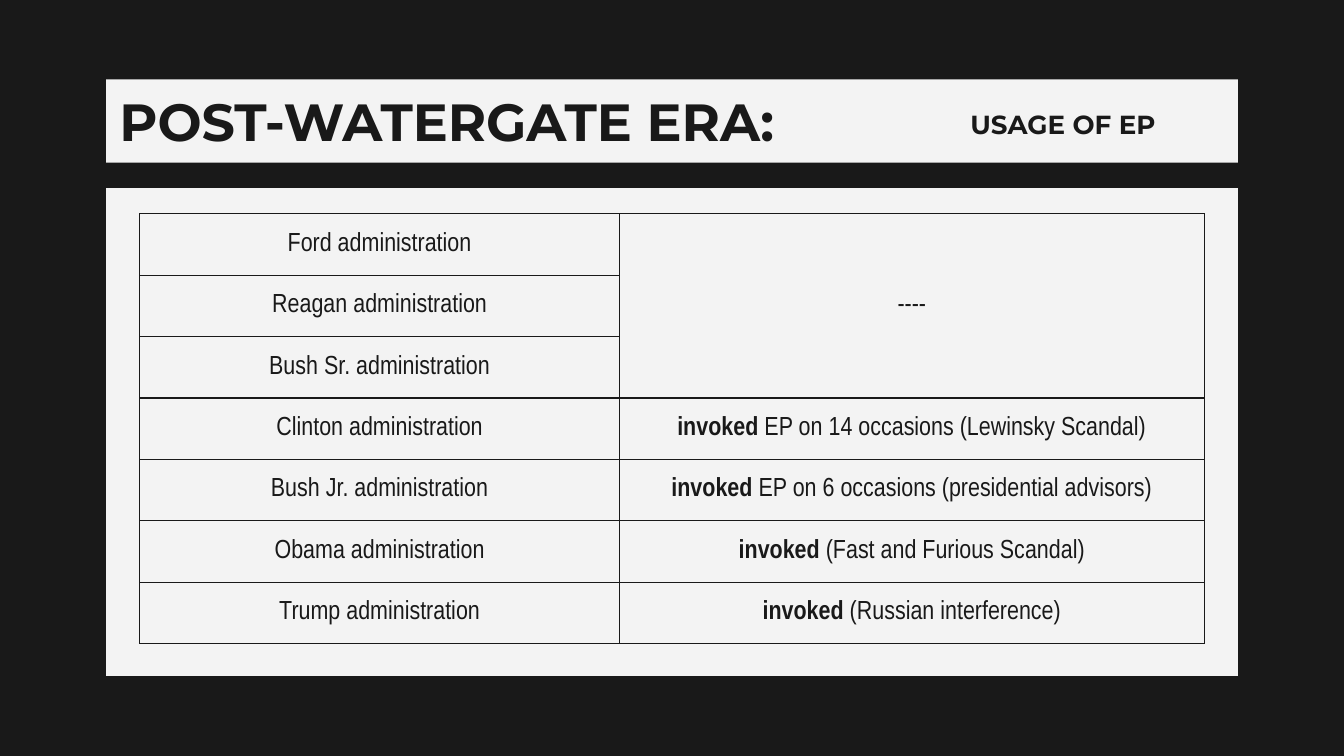
"""Build a slide that tabulates the use of executive privilege after Watergate."""
import lxml.etree
import pptx
import pptx.dml.color
import pptx.enum.shapes
import pptx.enum.text
import pptx.oxml.ns
import pptx.util

TITLE = "POST-WATERGATE ERA:"
SUBTITLE = "USAGE OF EP"
ADMINISTRATIONS = [
    ("Ford", "", "----"),
    ("Reagan", "", ""),
    ("Bush Sr.", "", ""),
    ("Clinton", "invoked", " EP on 14 occasions (Lewinsky Scandal)"),
    ("Bush Jr.", "invoked", " EP on 6 occasions (presidential advisors)"),
    ("Obama", "invoked", " (Fast and Furious Scandal)"),
    ("Trump", "invoked", " (Russian interference)"),
]
UNUSED_ROWS = 3

DARK, LIGHT = "191919", "F3F3F3"
WIDTH = 10
HEIGHT = WIDTH * 9 / 16
MARGIN = 0.79
PANEL_WIDTH = WIDTH - 2 * MARGIN
INSET = 0.1
TABLE_LEFT, TABLE_TOP, TABLE_HEIGHT = 1.04, 1.59, 3.2
COLUMN_WIDTHS = [3.57, 4.35]

inches = pptx.util.Inches
CENTER = pptx.enum.text.PP_ALIGN.CENTER
MIDDLE = pptx.enum.text.MSO_ANCHOR.MIDDLE


def color(value):
    return pptx.dml.color.RGBColor.from_string(value)


def style(paragraph, font_name, size, bold=None, align=CENTER):
    paragraph.alignment = align
    font = paragraph.font
    font.name, font.size, font.bold = font_name, pptx.util.Pt(size), bold
    font.color.rgb = color(DARK)


def add_panel(slide, top, height):
    panel = slide.shapes.add_shape(
        pptx.enum.shapes.MSO_SHAPE.RECTANGLE,
        inches(MARGIN), inches(top), inches(PANEL_WIDTH), inches(height))
    panel.shadow.inherit = False
    panel.fill.solid()
    panel.fill.fore_color.rgb = color(LIGHT)
    panel.line.fill.background()
    return panel


def set_insets(box):
    box.margin_left = box.margin_right = inches(INSET)
    box.margin_top = box.margin_bottom = inches(INSET)
    box.vertical_anchor = MIDDLE


def add_borders(cell):
    properties = cell._tc.get_or_add_tcPr()
    for position, side in enumerate(("lnL", "lnR", "lnT", "lnB")):
        line = lxml.etree.Element(pptx.oxml.ns.qn(f"a:{side}"), w=str(pptx.util.Pt(0.75)))
        fill = lxml.etree.SubElement(line, pptx.oxml.ns.qn("a:solidFill"))
        lxml.etree.SubElement(fill, pptx.oxml.ns.qn("a:srgbClr"), val=DARK)
        properties.insert(position, line)


def fill_cell(cell, bold_text, plain_text):
    set_insets(cell)
    cell.fill.background()
    add_borders(cell)
    paragraph = cell.text_frame.paragraphs[0]
    style(paragraph, "Arial Narrow", 14)
    for text, bold in ((bold_text, True), (plain_text, False)):
        if text:
            run = paragraph.add_run()
            run.text, run.font.bold = text, bold


def add_usage_table(slide):
    table = slide.shapes.add_table(
        len(ADMINISTRATIONS), len(COLUMN_WIDTHS), inches(TABLE_LEFT),
        inches(TABLE_TOP), inches(sum(COLUMN_WIDTHS)), inches(TABLE_HEIGHT)).table
    table.first_row = table.horz_banding = False
    for column, width in zip(table.columns, COLUMN_WIDTHS):
        column.width = inches(width)
    for index, (president, verb, detail) in enumerate(ADMINISTRATIONS):
        table.rows[index].height = inches(TABLE_HEIGHT / len(ADMINISTRATIONS))
        fill_cell(table.cell(index, 0), "", f"{president} administration")
        fill_cell(table.cell(index, 1), verb, detail)
    table.cell(0, 1).merge(table.cell(UNUSED_ROWS - 1, 1))


def main():
    deck = pptx.Presentation()
    deck.slide_width, deck.slide_height = inches(WIDTH), inches(HEIGHT)
    slide = deck.slides.add_slide(deck.slide_layouts[6])
    slide.background.fill.solid()
    slide.background.fill.fore_color.rgb = color(DARK)

    add_panel(slide, 1.4, 3.63)
    heading = add_panel(slide, 0.59, 0.62).text_frame
    set_insets(heading)
    heading.text = TITLE
    style(heading.paragraphs[0], "Montserrat", 28, True, pptx.enum.text.PP_ALIGN.LEFT)

    subtitle = slide.shapes.add_textbox(
        inches(6.86), inches(0.76), inches(2.1), inches(0.28)).text_frame
    subtitle.word_wrap = True
    subtitle.text = SUBTITLE
    style(subtitle.paragraphs[0], "Montserrat", 14, True)

    add_usage_table(slide)
    deck.save("out.pptx")


if __name__ == "__main__":
    main()
